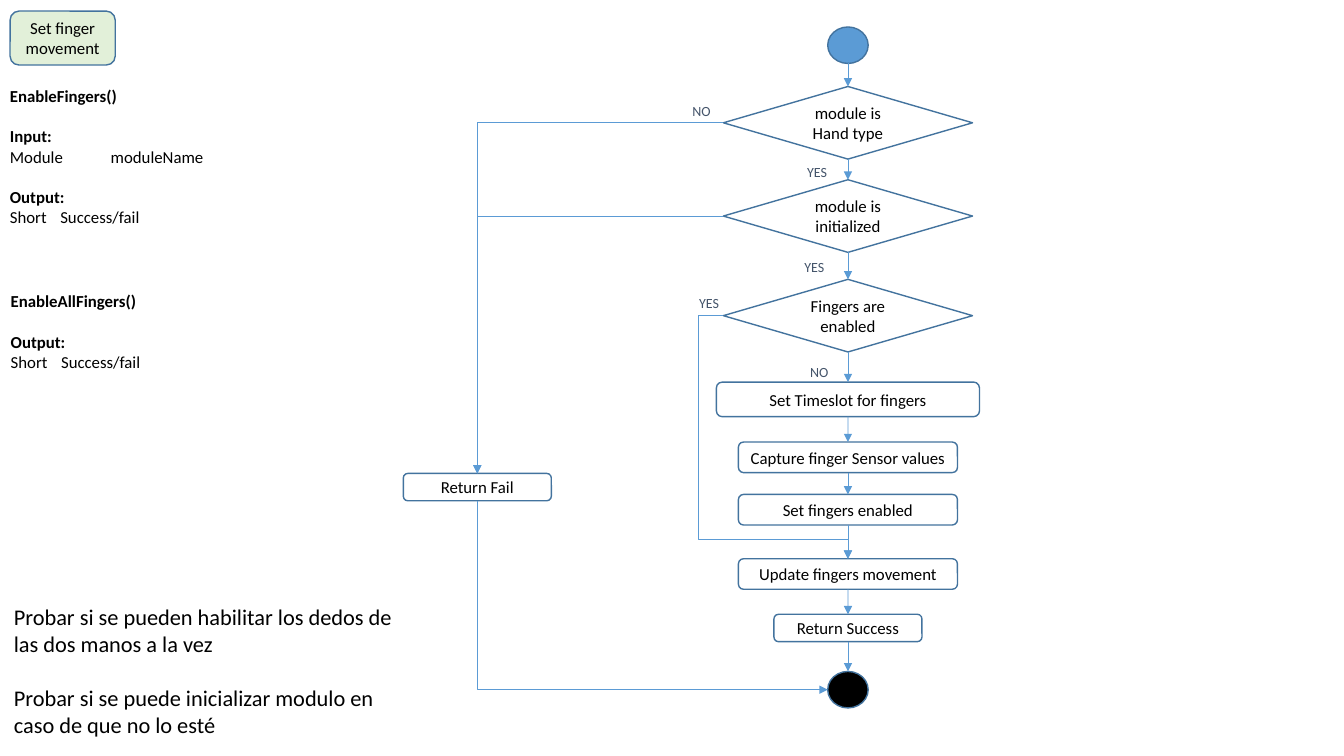
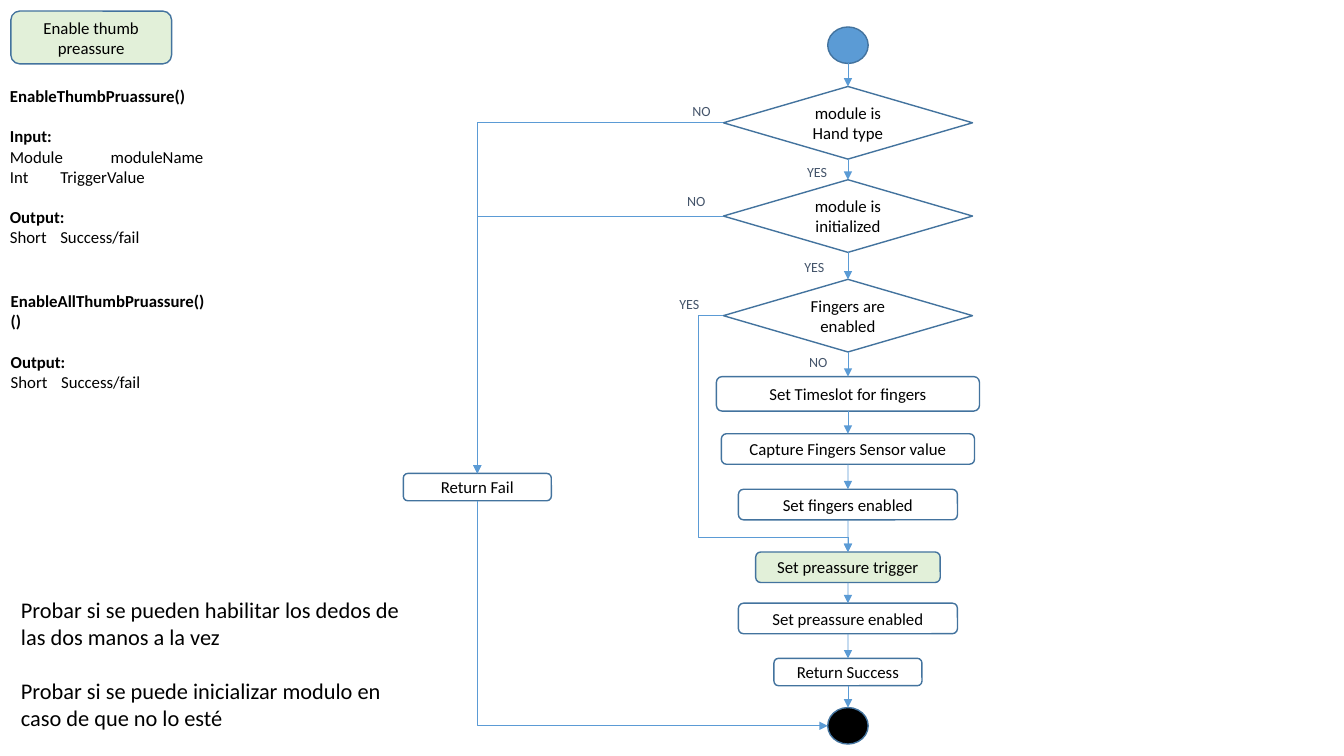
from dataclasses import dataclass
from itertools import pairwise
from typing import NamedTuple

from lxml.etree import SubElement
from pptx import Presentation
from pptx.dml.color import RGBColor
from pptx.enum.shapes import MSO_CONNECTOR, MSO_SHAPE
from pptx.enum.text import MSO_ANCHOR, MSO_AUTO_SIZE, PP_ALIGN
from pptx.oxml.ns import qn
from pptx.shapes.autoshape import Shape
from pptx.shapes.connector import Connector
from pptx.slide import Slide
from pptx.text.text import TextFrame
from pptx.util import Cm, Pt

COLORS = {
    "text": "000000",
    "label": "44546A",
    "outline": "43739E",
    "arrow": "5B9BD5",
    "start": "5B9BD5",
    "end": "000000",
    "highlight": "E2F0D9",
}
FONTS = {
    "body": {"name": "Calibri", "size": Pt(12), "bold": False},
    "heading": {"name": "Calibri", "size": Pt(12), "bold": True},
    "label": {"name": "Calibri", "size": Pt(10), "bold": False},
    "reminder": {"name": "Calibri", "size": Pt(16), "bold": False},
}
AXIS = 21.37  # centre line of the flow, cm
CIRCLE = (1.02, 0.92)
DIAMOND = (6.28, 1.83)
STEP = (5.52, 0.77)
RETURN = (3.73, 0.69)
TOP, LEFT, BOTTOM = 0, 1, 2


class Node(NamedTuple):
    """One shape of the flow; lengths in cm."""
    text: str
    top: float
    size: tuple[float, float] = STEP
    kind: MSO_SHAPE = MSO_SHAPE.ROUNDED_RECTANGLE
    fill: str | None = None
    center: float = AXIS


class Label(NamedTuple):
    """Answer beside a decision; position in cm."""
    text: str
    left: float
    top: float


class Signature(NamedTuple):
    """Function description; position and size in cm."""
    lines: tuple[str, ...]
    top: float
    height: float
    left: float


@dataclass(frozen=True)
class Flow:
    """Everything that differs between the slides."""
    title: Node
    signatures: tuple[Signature, ...]
    reminder_corner: tuple[float, float]
    steps: tuple[Node, ...]
    loop_target: str
    loop_bend: float
    end_top: float
    labels: tuple[Label, ...]


START = Node("", 0.68, CIRCLE, MSO_SHAPE.OVAL, "start")
DECISIONS = tuple(
    Node(question, top, DIAMOND, MSO_SHAPE.DIAMOND)
    for question, top in (
        ("module is Hand type", 2.18),
        ("module is initialized", 4.53),
        ("Fingers are enabled", 7.04),
    )
)
FAIL = Node("Return Fail", 11.93, RETURN, center=12.03)
SHARED_LABELS = (
    Label("NO", 17.2, 2.46),
    Label("YES", 20.09, 3.99),
    Label("YES", 20.02, 6.38),
)
REMINDERS = (
    "Probar si se pueden habilitar los dedos de las dos manos a la vez",
    "Probar si se puede inicializar modulo en caso de que no lo esté",
)
OUTPUT = ("Output:", "Short\tSuccess/fail")
FLOWS = (
    Flow(
        title=Node("Set finger movement", 0.28, (2.65, 1.36), fill="highlight", center=1.58),
        signatures=(
            Signature(("EnableFingers()", "Input:", "Module\tmoduleName", *OUTPUT), 2.03, 3.84, 0),
            Signature(("EnableAllFingers()", *OUTPUT), 7.2, 2.31, 0.02),
        ),
        reminder_corner=(0.1, 15.08),
        steps=(
            Node("Set Timeslot for fingers", 9.63, (6.63, 0.87)),
            Node("Capture finger Sensor values", 11.14),
            Node("Set fingers enabled", 12.46),
            Node("Update fingers movement", 14.08),
            Node("Return Success", 15.48, RETURN),
        ),
        loop_target="Update fingers movement",
        loop_bend=0.92,
        end_top=16.92,
        labels=(Label("NO", 20.17, 9.04), Label("YES", 17.37, 7.29)),
    ),
    Flow(
        title=Node("Enable thumb preassure", 0.28, (4.05, 1.33), fill="highlight", center=2.3),
        signatures=(
            Signature(
                ("EnableThumbPruassure()", "Input:", "Module\tmoduleName",
                 "Int\tTriggerValue", *OUTPUT), 2.03, 4.36, 0),
            Signature(("EnableAllThumbPruassure()", "()", *OUTPUT), 7.2, 2.82, 0.02),
        ),
        reminder_corner=(0.28, 14.9),
        steps=(
            Node("Set Timeslot for fingers", 9.49, (6.63, 0.87)),
            Node("Capture Fingers Sensor value", 10.93, (6.38, 0.77)),
            Node("Set fingers enabled", 12.33),
            Node("Set preassure trigger", 13.91, (4.65, 0.77), fill="highlight"),
            Node("Set preassure enabled", 15.2),
            Node("Return Success", 16.59, RETURN),
        ),
        loop_target="Set preassure trigger",
        loop_bend=0.94,
        end_top=17.83,
        labels=(
            Label("NO", 20.14, 8.79),
            Label("NO", 17.07, 4.72),
            Label("YES", 16.87, 7.32),
        ),
    ),
)


def color(role: str) -> RGBColor:
    """Look up a colour by its role."""
    return RGBColor.from_string(COLORS[role])


def write(frame: TextFrame, lines: tuple[str, ...], fonts: list[str],
          gaps: list[float], ink: str = "text") -> None:
    """Write one paragraph per line, with its font and the gap above it in points."""
    for index, (line, font, gap) in enumerate(zip(lines, fonts, gaps)):
        paragraph = frame.paragraphs[0] if index == 0 else frame.add_paragraph()
        paragraph.space_before = Pt(gap)
        run = paragraph.add_run()
        run.text = line
        run.font.color.rgb = color(ink)
        for name, value in FONTS[font].items():
            setattr(run.font, name, value)


def add_text(slide: Slide, left: float, top: float, width: float, height: float,
             wrap: bool = True) -> TextFrame:
    """Add an empty text box and return its frame."""
    frame = slide.shapes.add_textbox(Cm(left), Cm(top), Cm(width), Cm(height)).text_frame
    for name, value in {"word_wrap": wrap, "auto_size": MSO_AUTO_SIZE.SHAPE_TO_FIT_TEXT}.items():
        setattr(frame, name, value)
    return frame


def add_signature(slide: Slide, signature: Signature) -> None:
    """Describe a function: names and section heads are bold, sections are set apart."""
    lines = signature.lines
    frame = add_text(slide, signature.left, signature.top, 5.79, signature.height)
    write(frame, lines,
          ["heading" if line.endswith(("()", ":")) else "body" for line in lines],
          [14.6 if line.endswith(":") else 0 for line in lines])


def add_node(slide: Slide, node: Node) -> Shape:
    """Draw a node centred on its axis."""
    width, height = node.size
    shape = slide.shapes.add_shape(
        node.kind, Cm(node.center - width / 2), Cm(node.top), Cm(width), Cm(height))
    shape.shadow.inherit = False
    shape.line.color.rgb = color("outline")
    shape.line.width = Pt(1)
    if node.fill:
        shape.fill.solid()
        shape.fill.fore_color.rgb = color(node.fill)
    else:
        shape.fill.background()
    if node.text:
        frame = shape.text_frame
        frame.word_wrap = True
        frame.vertical_anchor = MSO_ANCHOR.MIDDLE
        write(frame, (node.text,), ["body"], [0])
        frame.paragraphs[0].alignment = PP_ALIGN.CENTER
    return shape


def site(shape: Shape, side: int) -> tuple[int, int]:
    """Return the middle point of one side of a shape."""
    middle_x = shape.left + shape.width // 2
    return {
        TOP: (middle_x, shape.top),
        LEFT: (shape.left, shape.top + shape.height // 2),
        BOTTOM: (middle_x, shape.top + shape.height),
    }[side]


def add_arrow(slide: Slide, source: Shape, source_side: int, target: Shape, target_side: int,
              preset: str = "line", adjust: tuple[float, ...] = ()) -> Connector:
    """Draw an arrow attached to two shapes; one from bottom to left is turned."""
    x1, y1 = site(source, source_side)
    x2, y2 = site(target, target_side)
    turned = (source_side, target_side) == (BOTTOM, LEFT)
    if turned:
        middle_x, middle_y = (x1 + x2) // 2, (y1 + y2) // 2
        half_run, half_drop = (x2 - x1) // 2, (y2 - y1) // 2
        x1, x2 = middle_x + half_drop, middle_x - half_drop
        y1, y2 = middle_y - half_run, middle_y + half_run
    style = MSO_CONNECTOR.STRAIGHT if preset == "line" else MSO_CONNECTOR.ELBOW
    arrow = slide.shapes.add_connector(style, x1, y1, x2, y2)
    arrow.line.color.rgb = color("arrow")
    arrow.line.width = Pt(0.5)

    properties = arrow._element.spPr
    if turned:
        properties.find(qn("a:xfrm")).set("rot", str(270 * 60000))
    geometry = properties.find(qn("a:prstGeom"))
    geometry.set("prst", preset)
    guides = geometry.find(qn("a:avLst"))
    for number, share in enumerate(adjust, 1):
        SubElement(guides, qn("a:gd"), name=f"adj{number}", fmla=f"val {round(share * 100000)}")
    SubElement(properties.find(qn("a:ln")), qn("a:tailEnd"), type="triangle")
    SubElement(properties, qn("a:effectLst"))

    links = arrow._element.nvCxnSpPr.cNvCxnSpPr
    for tag, shape, side in (("a:stCxn", source, source_side), ("a:endCxn", target, target_side)):
        sites_per_side = 2 if shape.auto_shape_type == MSO_SHAPE.OVAL else 1
        SubElement(links, qn(tag), id=str(shape.shape_id), idx=str(side * sites_per_side))
    return arrow


def add_flow(slide: Slide, flow: Flow) -> None:
    """Draw one slide: descriptions on the left, flow on the right."""
    for signature in flow.signatures:
        add_signature(slide, signature)
    reminders = add_text(slide, *flow.reminder_corner, 10.06, 3.68)
    write(reminders, REMINDERS, ["reminder"] * 2, [0, 19.5])
    add_node(slide, flow.title)

    end = Node("", flow.end_top, CIRCLE, MSO_SHAPE.OVAL, "end")
    chain = (START, *DECISIONS, *flow.steps, end)
    drawn = [add_node(slide, node) for node in chain]
    fail = add_node(slide, FAIL)
    for upper, lower in pairwise(drawn):
        add_arrow(slide, upper, BOTTOM, lower, TOP)

    hand_type, initialized, enabled = drawn[1:4]
    for decision in (hand_type, initialized):
        add_arrow(slide, decision, LEFT, fail, TOP, "bentConnector2")
    add_arrow(slide, fail, BOTTOM, drawn[-1], LEFT, "bentConnector2")
    target = drawn[[node.text for node in chain].index(flow.loop_target)]
    add_arrow(slide, enabled, LEFT, target, TOP, "bentConnector4", (-0.2, flow.loop_bend))

    for label in SHARED_LABELS + flow.labels:
        frame = add_text(slide, label.left, label.top, 1.02, 0.68, wrap=False)
        write(frame, (label.text,), ["label"], [0], "label")


deck = Presentation()
for name, value in {"slide_width": Cm(33.87), "slide_height": Cm(19.05)}.items():
    setattr(deck, name, value)
for flow in FLOWS:
    add_flow(deck.slides.add_slide(deck.slide_layouts[6]), flow)
deck.save("out.pptx")
